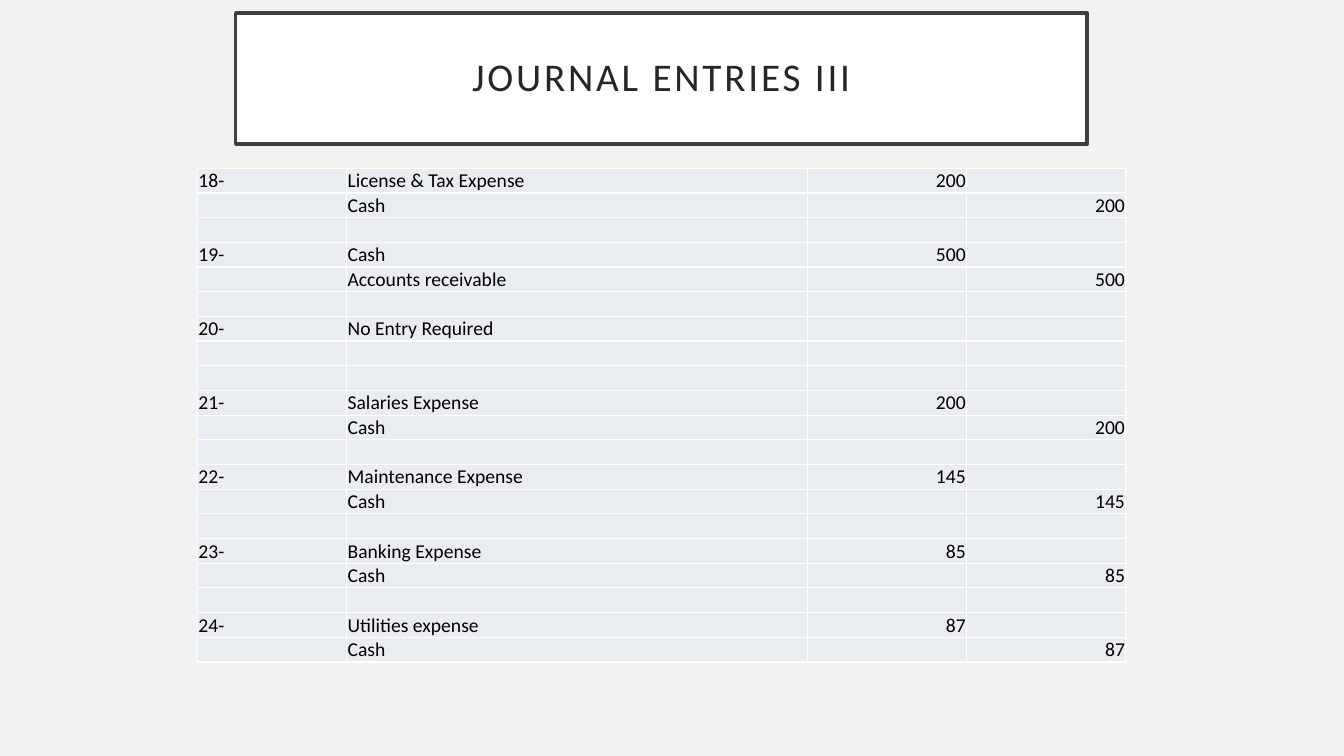
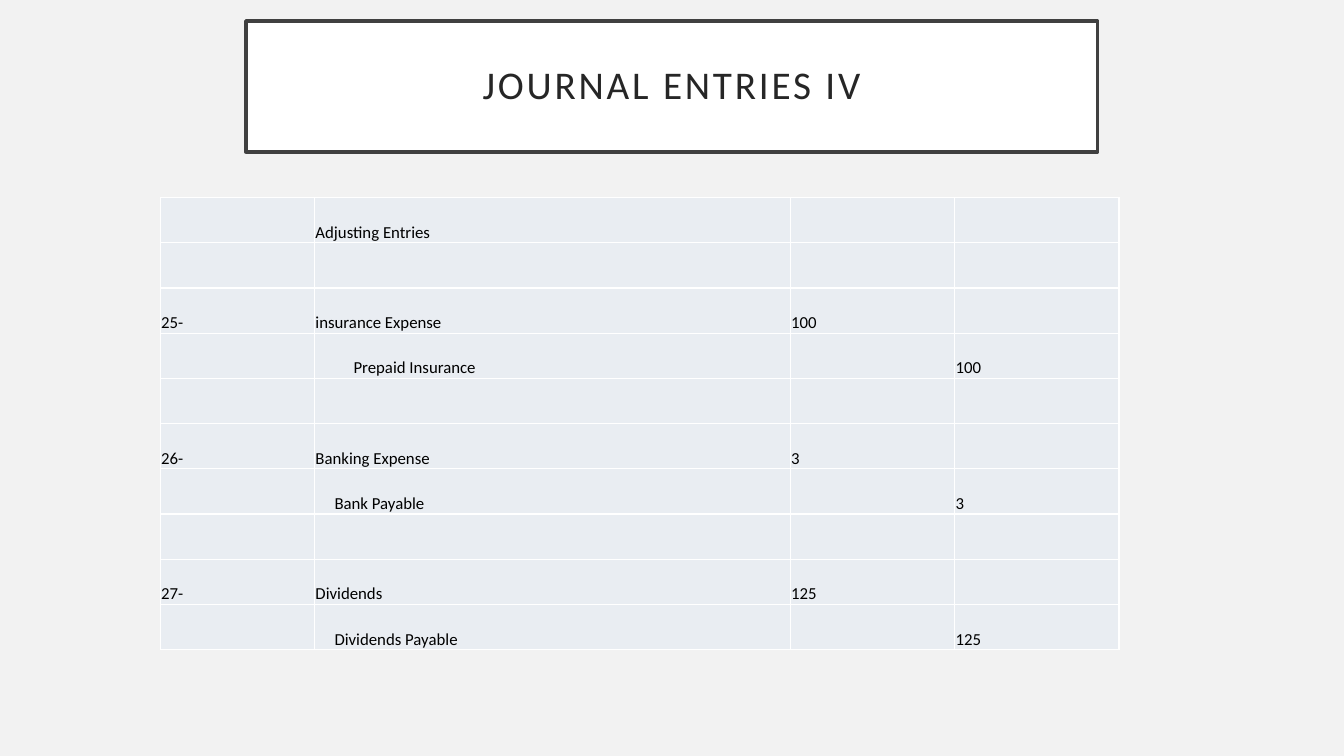
"""Build two slides of journal entries, each a boxed title over a ledger table."""
from lxml import etree
from pptx import Presentation
from pptx.dml.color import RGBColor
from pptx.enum import shapes, text
from pptx.oxml.ns import qn
from pptx.util import Cm, Pt

PAPER = RGBColor(0xF2, 0xF2, 0xF2)
WHITE = RGBColor(0xFF, 0xFF, 0xFF)
FRAME = RGBColor(0x40, 0x40, 0x40)
HEADING = RGBColor(0x26, 0x26, 0x26)
BLACK = RGBColor(0, 0, 0)
CELL = RGBColor(0xE9, 0xED, 0xF2)
FONT = "Calibri"
BLANK_ROW = ("", "", "", "")
INDENT = Cm(0.48)

TITLE_FRAME = {
    "word_wrap": True, "vertical_anchor": text.MSO_ANCHOR.MIDDLE,
    "margin_left": Cm(0.5), "margin_right": Cm(0.5),
    "margin_top": Cm(0.5), "margin_bottom": Cm(0.5),
}
CELL_FORMAT = {
    "vertical_anchor": text.MSO_ANCHOR.BOTTOM,
    "margin_left": Cm(0.02), "margin_right": Cm(0.02),
    "margin_top": Cm(0.02), "margin_bottom": 0,
}
PLAIN_TABLE = {"first_row": False, "horz_banding": False}

LEFT, RIGHT = text.PP_ALIGN.LEFT, text.PP_ALIGN.RIGHT
JUSTIFY = text.PP_ALIGN.JUSTIFY

DAILY_ENTRIES = [
    ("18-", "License & Tax Expense", "Cash", 0, "200"),
    ("19-", "Cash", "Accounts receivable", 0, "500"),
    ("20-", "No Entry Required", "", 0, ""),
    ("21-", "Salaries Expense", "Cash", 0, "200"),
    ("22-", "Maintenance Expense", "Cash", 0, "145"),
    ("23-", "Banking Expense", "Cash", 0, "85"),
    ("24-", "Utilities expense", "Cash", 0, "87"),
]
ADJUSTING_ENTRIES = [
    ("", "Adjusting Entries", None, 0, ""),
    ("25-", "insurance Expense", "Prepaid Insurance", 2, "100"),
    ("26-", "Banking Expense", "Bank Payable", 1, "3"),
    ("27-", "Dividends", "Dividends Payable", 1, "125"),
]


def apply(target, values):
    """Set each named attribute of target."""
    for key, value in values.items():
        setattr(target, key, value)


def style_font(font, size, color):
    """Give a font the deck's typeface with a size and colour."""
    apply(font, {"name": FONT, "size": Pt(size)})
    font.color.rgb = color


def ledger_rows(entries):
    """Return (cells, credit indent level) rows with a blank row between entries."""
    rows = []
    for number, debit, credit, level, amount in entries:
        if rows:
            rows.append((BLANK_ROW, 0))
        rows.append(((number, debit, amount, ""), 0))
        if credit is not None:
            rows.append((("", credit, "", amount), level))
    return rows


def add_title(slide, words, left, top):
    """Add the framed, letter-spaced title box."""
    box = slide.shapes.add_shape(
        shapes.MSO_SHAPE.RECTANGLE, Cm(left), Cm(top), Cm(21.46), Cm(3.3))
    box.shadow.inherit = False
    box.fill.solid()
    box.fill.fore_color.rgb = WHITE
    box.line.color.rgb = FRAME
    box.line.width = Pt(2.5)
    apply(box.text_frame, TITLE_FRAME)
    heading = box.text_frame.paragraphs[0]
    apply(heading, {"alignment": text.PP_ALIGN.CENTER, "line_spacing": 0.9})
    run = heading.add_run()
    run.text = words
    style_font(run.font, 28, HEADING)
    run.font._element.set("spc", "200")


def add_borders(cell):
    """Draw thin white lines on all four sides of a cell."""
    properties = cell._tc.get_or_add_tcPr()
    for side in ("lnL", "lnR", "lnT", "lnB"):
        line = etree.SubElement(properties, qn(f"a:{side}"), w=str(Pt(1)))
        fill = etree.SubElement(line, qn("a:solidFill"))
        etree.SubElement(fill, qn("a:srgbClr"), val=str(WHITE))


def fill_cell(cell, words, size, alignment, level):
    """Format one ledger cell and write its words."""
    add_borders(cell)
    cell.fill.solid()
    cell.fill.fore_color.rgb = CELL
    apply(cell, CELL_FORMAT)
    paragraph = cell.text_frame.paragraphs[0]
    paragraph.alignment = alignment
    if level:
        paragraph._p.get_or_add_pPr().set("marL", str(level * INDENT))
    if words:
        run = paragraph.add_run()
        run.text = words
        style_font(run.font, size, BLACK)
    else:
        etree.SubElement(paragraph._p, qn("a:endParaRPr"), sz=str(size * 100))


def add_ledger(slide, entries, left, top, widths, row_height, size, alignments):
    """Add the table of entries: number, account, debit and credit."""
    rows = ledger_rows(entries)
    ledger = slide.shapes.add_table(
        len(rows), len(widths), Cm(left), Cm(top),
        Cm(sum(widths)), Cm(row_height * len(rows))).table
    apply(ledger, PLAIN_TABLE)
    for column, width in zip(ledger.columns, widths):
        column.width = Cm(width)
    for row, (words, level) in zip(ledger.rows, rows):
        row.height = Cm(row_height)
        for index, cell in enumerate(row.cells):
            fill_cell(cell, words[index], size, alignments[index],
                      level if index == 1 else 0)


def add_page(deck):
    """Add a blank slide on the grey paper colour."""
    slide = deck.slides.add_slide(deck.slide_layouts[6])
    slide.background.fill.solid()
    slide.background.fill.fore_color.rgb = PAPER
    return slide


def main():
    """Build and save the deck."""
    deck = Presentation()
    apply(deck, {"slide_width": Cm(33.87), "slide_height": Cm(19.05)})

    daily = add_page(deck)
    add_title(daily, "JOURNAL ENTRIES III", 5.94, 0.33)
    add_ledger(daily, DAILY_ENTRIES, 4.98, 4.24, (3.76, 11.61, 4.01, 4.01),
               0.62, 14, (LEFT, LEFT, RIGHT, RIGHT))

    adjusting = add_page(deck)
    add_title(adjusting, "JOURNAL ENTRIES IV", 6.2, 0.53)
    add_ledger(adjusting, ADJUSTING_ENTRIES, 4.04, 4.98,
               (3.89, 11.99, 4.14, 4.14), 1.14, 12, (JUSTIFY,) * 4)

    deck.save("out.pptx")


if __name__ == "__main__":
    main()
